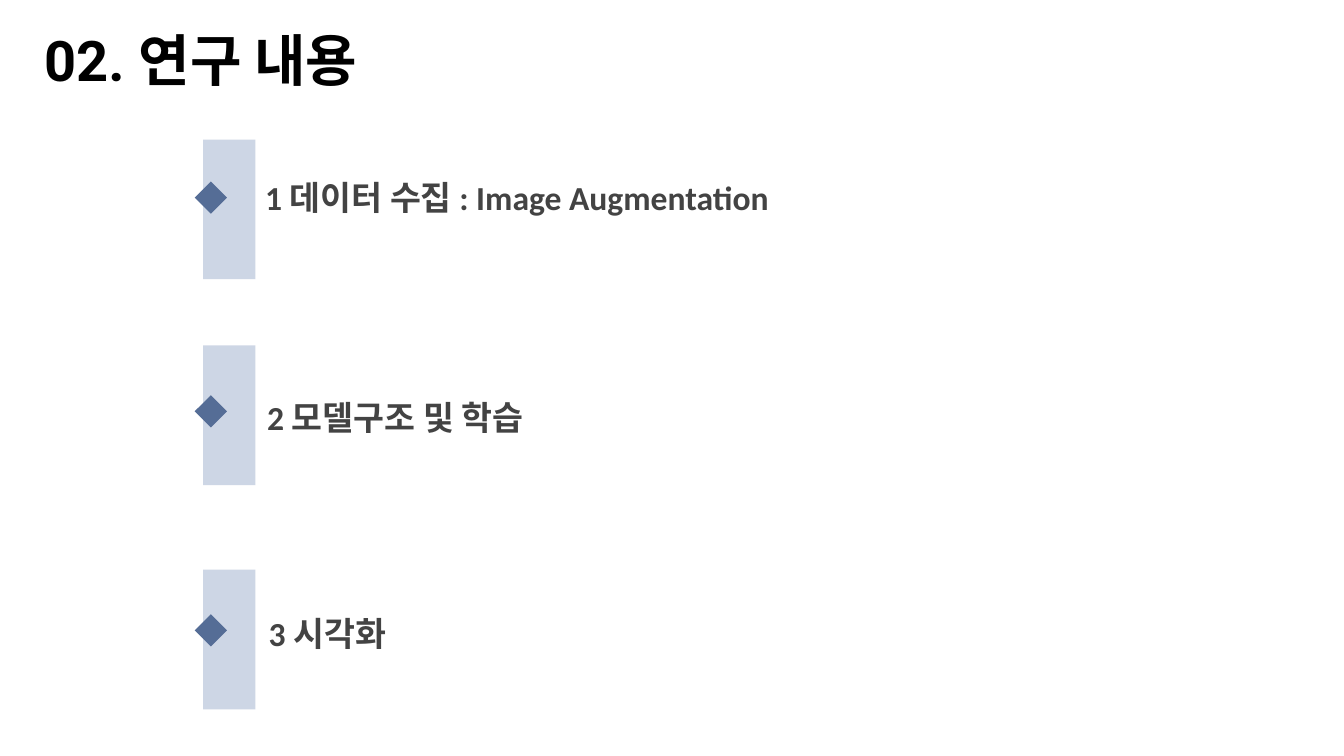
from lxml import etree
from pptx import Presentation
from pptx.dml.color import RGBColor
from pptx.enum.shapes import MSO_SHAPE
from pptx.enum.text import MSO_ANCHOR, PP_ALIGN
from pptx.oxml.ns import qn
from pptx.util import Cm, Pt

RECTANGLE = MSO_SHAPE.RECTANGLE
DIAMOND = MSO_SHAPE.DIAMOND
TOP = MSO_ANCHOR.TOP
MIDDLE = MSO_ANCHOR.MIDDLE
LEFT = PP_ALIGN.LEFT
CENTER = PP_ALIGN.CENTER

BAND_WIDTH, BAND_HEIGHT = 0.99, 2.64
MARKER_SIZE = 0.61
PADDING = 0.25


def colour(value):
    return RGBColor.from_string(value)


def add_block(slide, preset, box, fill, opacity=100):
    block = slide.shapes.add_shape(preset, *map(Cm, box))
    block.shadow.inherit = False
    block.fill.solid()
    block.fill.fore_color.rgb = colour(fill)
    block.line.fill.background()
    if opacity < 100:
        solid = block.fill._xPr.find(qn("a:solidFill"))
        etree.SubElement(solid[0], qn("a:alpha"), val=str(opacity * 1000))
    return block


def add_words(slide, box, words, font, size, fill, align=LEFT, anchor=TOP):
    frame = slide.shapes.add_textbox(*map(Cm, box)).text_frame
    frame.word_wrap = True
    frame.vertical_anchor = anchor
    frame.margin_left = frame.margin_right = Cm(PADDING)
    frame.margin_top = frame.margin_bottom = Cm(PADDING)
    paragraph = frame.paragraphs[0]
    paragraph.alignment = align
    run = paragraph.add_run()
    run.text = words
    run.font.name = font
    run.font.size = Pt(size)
    run.font.bold = True
    run.font.color.rgb = colour(fill)


def add_heading(slide, box, words):
    add_words(slide, box, words, "Roboto", 30, "000000", CENTER, MIDDLE)


def add_topic(slide, left, top, marker_drop, label_box, words):
    add_block(slide, RECTANGLE, (left, top, BAND_WIDTH, BAND_HEIGHT), "A9B9D3", 58)
    label_left, label_drop, label_width, label_height = label_box
    add_words(slide, (left + label_left, top + label_drop, label_width, label_height),
              words, "Calibri", 18, "434343")
    marker_box = (left - 0.16, top + marker_drop, MARKER_SIZE, MARKER_SIZE)
    add_block(slide, DIAMOND, marker_box, "556D96").rotation = 90


def main():
    deck = Presentation()
    deck.slide_width, deck.slide_height = Cm(25.4), Cm(14.29)
    slide = deck.slides.add_slide(deck.slide_layouts[6])
    add_heading(slide, (0, 0.2, 7.59, 1.83), "02. 연구 내용")
    topics = [
        (2.64, 0.79, (0.92, 0.46, 14, 1.27), "1 데이터 수집 : Image Augmentation"),
        (6.53, 0.94, (0.96, 0.73, 6.22, 1.17), "2 모델구조 및 학습"),
        (10.77, 0.84, (0.99, 0.56, 6.22, 1.17), "3 시각화"),
    ]
    for top, marker_drop, label_box, words in topics:
        add_topic(slide, 3.84, top, marker_drop, label_box, words)
    deck.save("out.pptx")


if __name__ == "__main__":
    main()
